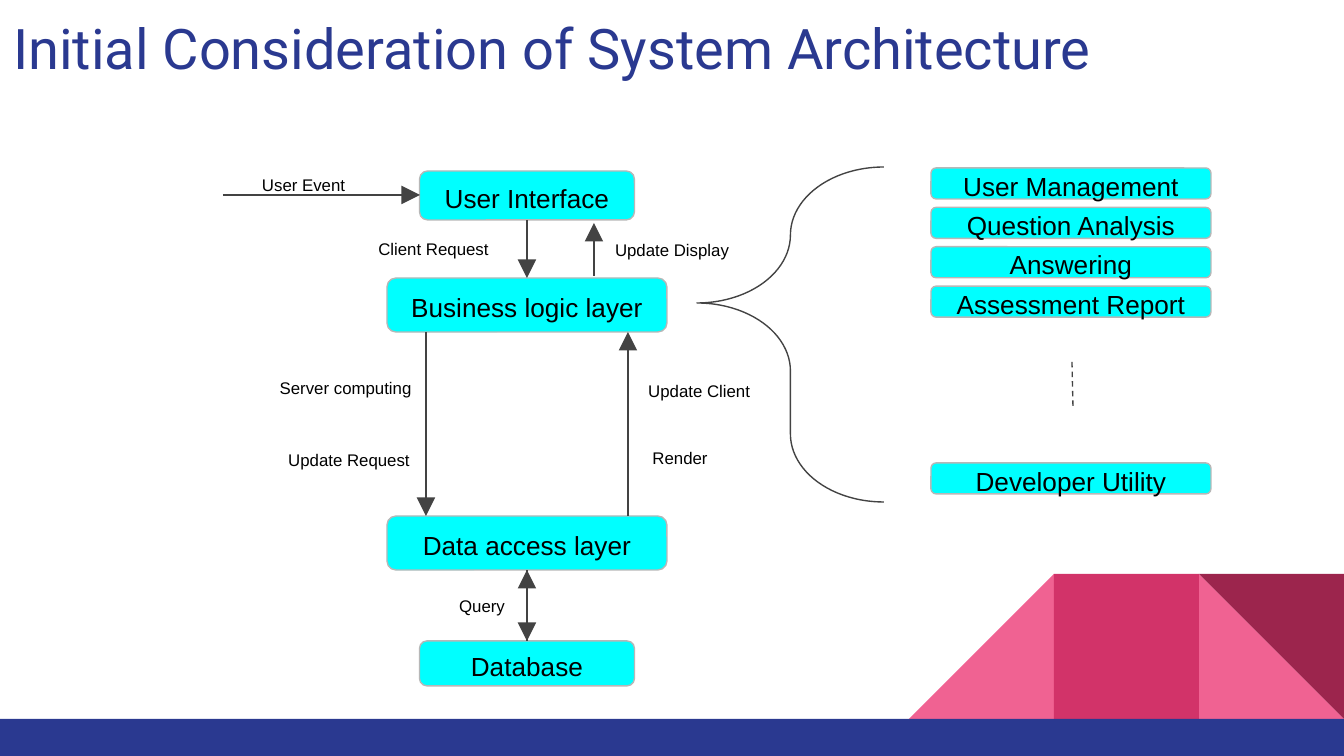
from lxml import etree
from pptx import Presentation
from pptx.dml.color import RGBColor
from pptx.enum.dml import MSO_LINE
from pptx.enum.shapes import MSO_CONNECTOR as Conn, MSO_SHAPE as Shape
from pptx.enum.text import MSO_ANCHOR as Anchor, PP_ALIGN as Align
from pptx.oxml.ns import qn
from pptx.util import Inches, Pt

PX = Inches(1) / 134.4
WIDE, HIGH = 1344, 756
COLORS = {"blue": "2A3990", "pink": "F06292", "rose": "D23369",
          "wine": "9C254D", "cyan": "00FFFF", "edge": "B7B7B7",
          "dark": "434343", "black": "000000"}

# Content
TITLE = "Initial Consideration of System Architecture"
AXIS = 527  # centre of the layer column
LAYERS = [  # text, top, width, height
    ("User Interface", 171, 215, 49),
    ("Business logic layer", 278, 280, 54),
    ("Data access layer", 516, 280, 54),
    ("Database", 641, 215, 45),
]
MODULES = ["User Management", "Question Analysis", "Answering",
           "Assessment Report"]
LAST = "Developer Utility"
LABELS = [  # text, left, top, width, height, alignment
    ("User Event", 235, 173, 137, 23, Align.CENTER),
    ("Client Request", 351, 239, 165, 20, Align.CENTER),
    ("Update Display", 599, 234, 146, 31, Align.CENTER),
    ("Server computing", 265, 374, 161, 28, Align.CENTER),
    ("Update Client", 635, 382, 146, 17, Align.LEFT),
    ("Update Request", 275, 448, 161, 23, Align.LEFT),
    ("Render", 634, 445, 92, 26, Align.CENTER),
    ("Query", 436, 590, 92, 31, Align.CENTER),
]
ARROWS = [  # start x, y, end x, y
    (223, 195, 420, 195),
    (AXIS, 220, AXIS, 278),
    (594, 276, 594, 223),
    (426, 332, 426, 516),
    (628, 516, 628, 332),
    (AXIS, 570, AXIS, 641),
    (AXIS, 641, AXIS, 570),
]
SIDE, BASE = 145, 719  # corner tile size, top of the footer bar
TILES = [  # column from the left, shape, colour, rotation, mirrored
    (2, Shape.RIGHT_TRIANGLE, "pink", 0, False),
    (0, Shape.RIGHT_TRIANGLE, "pink", 0, True),
    (1, Shape.RECTANGLE, "rose", 0, False),
    (2, Shape.RIGHT_TRIANGLE, "wine", 180, False),
]

deck = Presentation()
deck.slide_width, deck.slide_height = Inches(10), Inches(5.625)
slide = deck.slides.add_slide(deck.slide_layouts[6])
shapes = slide.shapes


def emu(*vals):
    return [round(v * PX) for v in vals]


def rgb(name):
    return RGBColor.from_string(COLORS[name])


def add_shape(kind, x, y, w, h, fill=None, edge=None):
    shape = shapes.add_shape(kind, *emu(x, y, w, h))
    shape.shadow.inherit = False
    if fill:
        shape.fill.solid()
        shape.fill.fore_color.rgb = rgb(fill)
    else:
        shape.fill.background()
    if edge:
        shape.line.color.rgb = rgb(edge)
        shape.line.width = Pt(0.75)
    else:
        shape.line.fill.background()
    return shape


def set_text(shape, text, size, align=Align.LEFT, font="Arial",
             color="black", anchor=Anchor.MIDDLE):
    frame = shape.text_frame
    frame.text = text
    frame.word_wrap = True
    frame.vertical_anchor = anchor
    frame.margin_left = frame.margin_right = Inches(0.1)
    frame.margin_top = frame.margin_bottom = Inches(0.1)
    para = frame.paragraphs[0]
    para.alignment = align
    para.font.size, para.font.name = Pt(size), font
    para.font.color.rgb = rgb(color)
    return para


def add_box(text, x, y, w, h):
    box = add_shape(Shape.ROUNDED_RECTANGLE, x, y, w, h, "cyan", "edge")
    set_text(box, text, 14, Align.CENTER).line_spacing = 1.15


def add_line(*ends):
    line = shapes.add_connector(Conn.STRAIGHT, *emu(*ends))
    line.line.color.rgb = rgb("dark")
    line.line.width = Pt(0.75)
    etree.SubElement(line._element.spPr, qn("a:effectLst"))
    return line


# Corner tiles and footer bar
for col, kind, color, turn, mirror in TILES:
    tile = add_shape(kind, WIDE - (3 - col) * SIDE, BASE - SIDE,
                     SIDE, SIDE, color)
    tile.rotation = turn
    if mirror:
        tile._element.spPr.xfrm.set("flipH", "1")
add_shape(Shape.RECTANGLE, 0, BASE, WIDE, HIGH - BASE, "blue")

# Title
title = shapes.add_textbox(*emu(0, 0, 1253, 89))
set_text(title, TITLE, 30, font="Roboto", color="blue", anchor=Anchor.TOP)

# Layers, arrows and their labels
for text, y, w, h in LAYERS:
    add_box(text, AXIS - w / 2, y, w, h)
for ends in ARROWS:
    arrow = add_line(*ends)
    etree.SubElement(arrow.line._get_or_add_ln(), qn("a:tailEnd"),
                     type="triangle", w="lg", len="lg")
for text, x, y, w, h, align in LABELS:
    set_text(shapes.add_textbox(*emu(x, y, w, h)), text, 9, align)

# Modules of the business logic layer
brace = add_shape(Shape.LEFT_BRACE, 697, 167, 187, 335, edge="dark")
brace.adjustments[0], brace.adjustments[1] = 0.364, 0.406
tops = [168 + 39.4 * i for i in range(len(MODULES))] + [463]
for text, y in zip(MODULES + [LAST], tops):
    add_box(text, 931, y, 280, 31)
add_line(1072, 362, 1073, 406).line.dash_style = MSO_LINE.DASH

deck.save("out.pptx")
